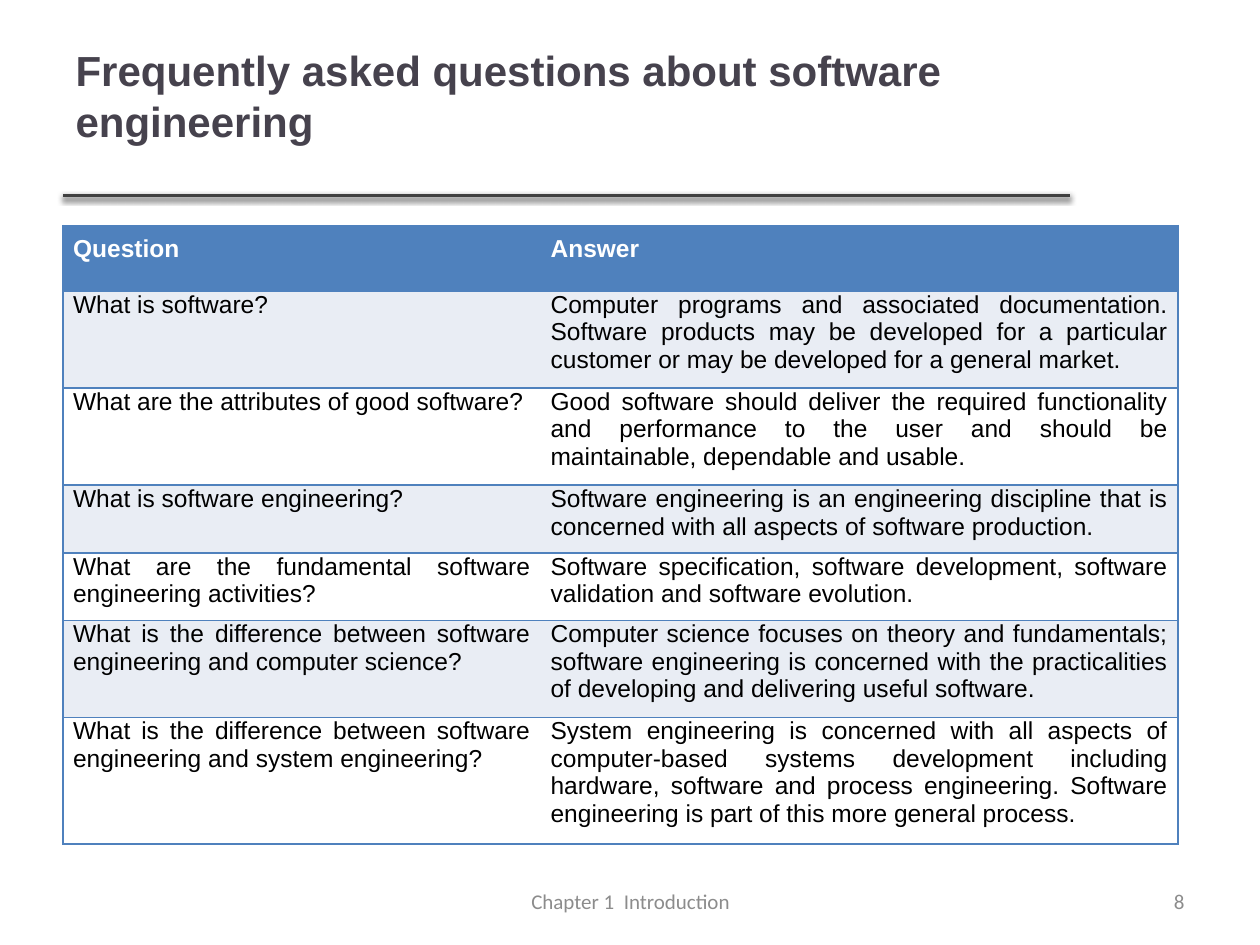
import pptx
import pptx.util
import pptx.dml.color
import pptx.enum.shapes
import pptx.enum.text
import pptx.oxml
import pptx.oxml.ns

Inches = pptx.util.Inches
Pt = pptx.util.Pt
RGBColor = pptx.dml.color.RGBColor
Align = pptx.enum.text.PP_ALIGN
Anchor = pptx.enum.text.MSO_ANCHOR

INK = RGBColor(0x46, 0x42, 0x4D)
RULE = RGBColor(0x40, 0x40, 0x40)
GREY = RGBColor(0x8C, 0x8C, 0x8C)
BLUE = RGBColor(0x4F, 0x81, 0xBD)
PALE = RGBColor(0xE9, 0xED, 0xF4)
WHITE = RGBColor(0xFF, 0xFF, 0xFF)
BLACK = RGBColor(0, 0, 0)

SPACE = pptx.oxml.ns.nsdecls("a")
SHADOW = (
    f'<a:effectLst {SPACE}><a:outerShdw blurRad="{Pt(3.1)}" dist="{Pt(1.6)}" '
    'dir="5400000" algn="ctr" rotWithShape="0"><a:srgbClr val="000000">'
    '<a:alpha val="60000"/></a:srgbClr></a:outerShdw></a:effectLst>'
)

TITLE = {"name": "Arial", "size": Pt(24), "bold": True}
FOOT = {"name": "Calibri", "size": Pt(12), "bold": False}
HEAD = {"name": "Arial", "size": Pt(14), "bold": True}
BODY = {**HEAD, "bold": False}

ROWS = [
    ("Question", "Answer"),
    ("What is software?",
     "Computer programs and associated documentation. Software products may be "
     "developed for a particular customer or may be developed for a general market."),
    ("What are the attributes of good software?",
     "Good software should deliver the required functionality and performance to "
     "the user and should be maintainable, dependable and usable."),
    ("What is software engineering?",
     "Software engineering is an engineering discipline that is concerned with all "
     "aspects of software production."),
    ("What are the fundamental software engineering activities?",
     "Software specification, software development, software validation and "
     "software evolution."),
    ("What is the difference between software engineering and computer science?",
     "Computer science focuses on theory and fundamentals; software engineering is "
     "concerned with the practicalities of developing and delivering useful software."),
    ("What is the difference between software engineering and system engineering?",
     "System engineering is concerned with all aspects of computer-based systems "
     "development including hardware, software and process engineering. Software "
     "engineering is part of this more general process."),
]
WIDTHS = [3.79, 5.06]
HEIGHTS = [0.52, 0.67, 0.67, 0.52, 0.52, 0.67, 0.86]


def apply(item, **values):
    for key, value in values.items():
        setattr(item, key, value)


class Deck:
    def __init__(self):
        self.show = pptx.Presentation()
        apply(self.show, slide_width=Inches(10), slide_height=Inches(7.5))
        self.slide = self.show.slides.add_slide(self.show.slide_layouts[5])

    def text(self, frame, words, style, color, align):
        para = frame.paragraphs[0]
        para.alignment = align
        run = para.add_run()
        run.text = words
        apply(run.font, **style)
        run.font.color.rgb = color

    def title(self, words, left, top, width, height):
        shape = self.slide.shapes.title
        apply(shape, left=Inches(left), top=Inches(top),
              width=Inches(width), height=Inches(height))
        apply(shape.text_frame, word_wrap=True, margin_bottom=Inches(0.43),
              vertical_anchor=Anchor.MIDDLE, auto_size=pptx.enum.text.MSO_AUTO_SIZE.NONE)
        self.text(shape.text_frame, words, TITLE, INK, Align.LEFT)

    def label(self, words, left, top, width, height, align):
        box = self.slide.shapes.add_textbox(
            Inches(left), Inches(top), Inches(width), Inches(height))
        apply(box.text_frame, word_wrap=True, vertical_anchor=Anchor.MIDDLE)
        self.text(box.text_frame, words, FOOT, GREY, align)

    def rule(self, left, right, top):
        line = self.slide.shapes.add_connector(
            pptx.enum.shapes.MSO_CONNECTOR.STRAIGHT,
            Inches(left), Inches(top), Inches(right), Inches(top))
        line.line.color.rgb = RULE
        line.line.width = Pt(2)
        line._element.spPr.append(pptx.oxml.parse_xml(SHADOW))

    def border(self, cell, blank):
        props = cell._tc.get_or_add_tcPr()
        for spot, side in enumerate("LRTB"):
            paint = ("<a:noFill/>" if side == blank else
                     f'<a:solidFill><a:srgbClr val="{BLUE}"/></a:solidFill>')
            props.insert(spot, pptx.oxml.parse_xml(
                f'<a:ln{side} {SPACE} w="{Pt(1)}">{paint}</a:ln{side}>'))

    def table(self, rows, left, top, widths, heights):
        grid = self.slide.shapes.add_table(
            len(rows), len(widths), Inches(left), Inches(top),
            Inches(sum(widths)), Inches(sum(heights))).table
        apply(grid, first_row=False, horz_banding=False)
        for col, width in zip(grid.columns, widths):
            col.width = Inches(width)
        for row, height in zip(grid.rows, heights):
            row.height = Inches(height)
        for r, texts in enumerate(rows):
            head = r == 0
            for c, words in enumerate(texts):
                cell = grid.cell(r, c)
                apply(cell, margin_left=Inches(0.08), margin_right=Inches(0.08),
                      margin_top=Inches(0.08 if head else 0),
                      margin_bottom=Inches(0.08 if head else 0.07))
                cell.fill.solid()
                cell.fill.fore_color.rgb = BLUE if head else PALE if r % 2 else WHITE
                self.border(cell, "RL"[c])
                self.text(cell.text_frame, words, HEAD if head else BODY,
                          WHITE if head else BLACK, Align.JUSTIFY)


def main():
    deck = Deck()
    deck.rule(0.5, 8.49, 1.55)
    deck.title("Frequently asked questions about software engineering",
               0.5, 0.3, 8.41, 1.29)
    deck.label("Chapter 1  Introduction", 3.42, 6.95, 3.17, 0.4, Align.CENTER)
    deck.label("8", 7.17, 6.95, 2.33, 0.4, Align.RIGHT)
    deck.table(ROWS, 0.5, 1.79, WIDTHS, HEIGHTS)
    deck.show.save("out.pptx")


if __name__ == "__main__":
    main()
